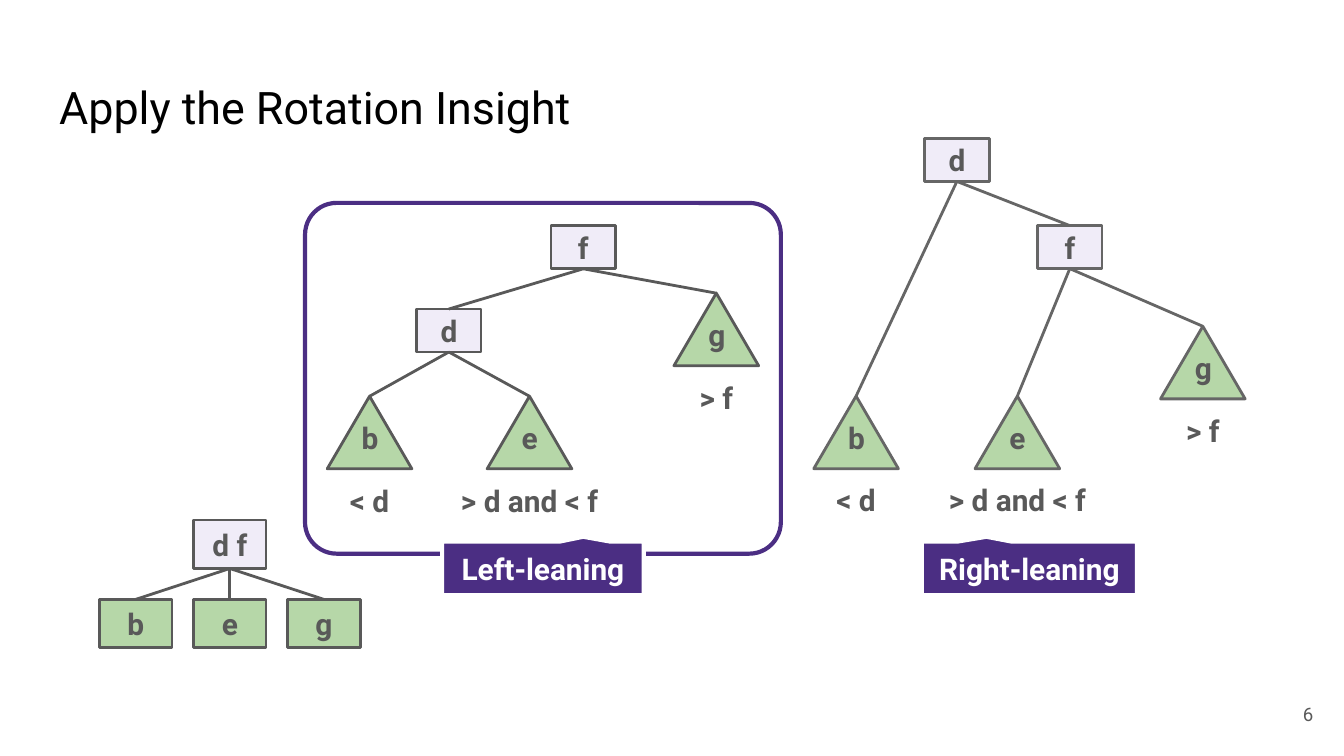
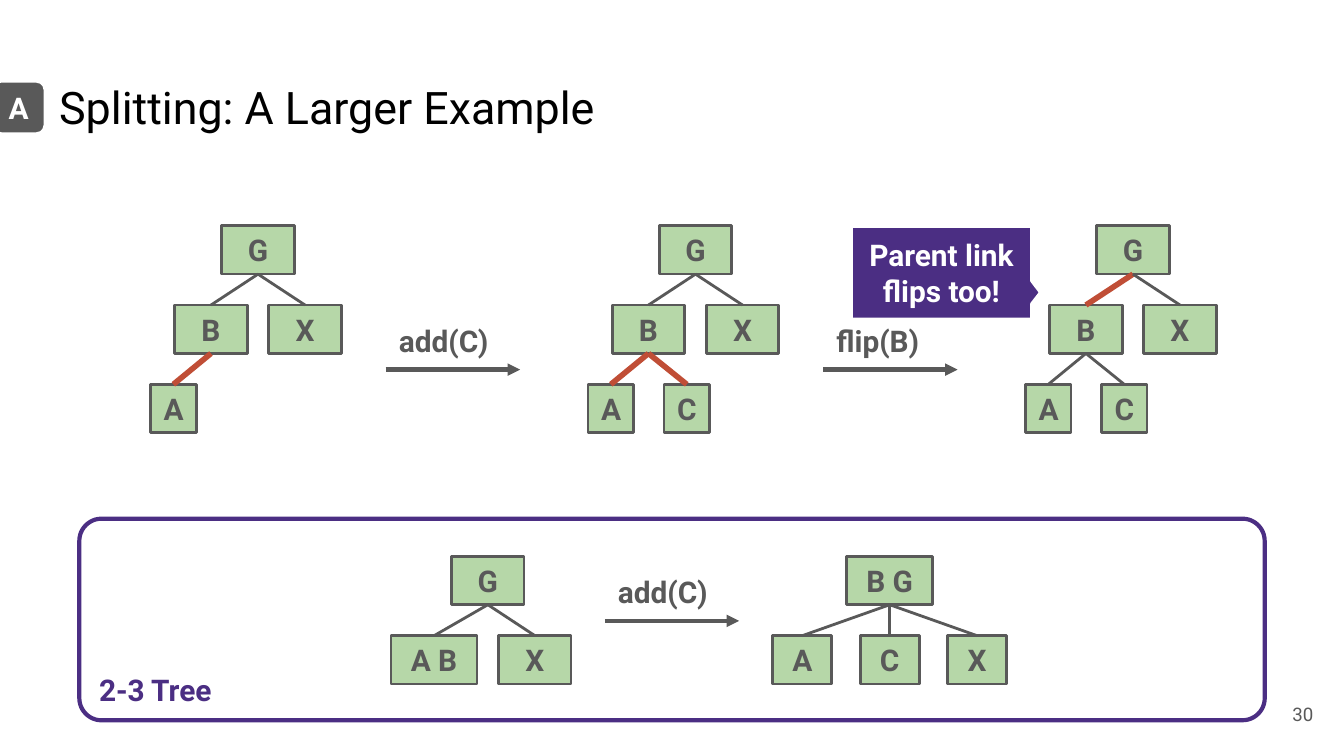
import pptx
import pptx.dml.color
import pptx.enum.shapes
import pptx.enum.text
import pptx.oxml
import pptx.oxml.ns
import pptx.util

SHAPE = pptx.enum.shapes.MSO_SHAPE
ALIGN = pptx.enum.text.PP_ALIGN
ANCHOR = pptx.enum.text.MSO_ANCHOR
inches = pptx.util.Inches

WIDTH = 10
HEIGHT = WIDTH * 9 / 16
COL, ROW = 0.05, 0.59
FONT = "Roboto"
COLORS = {
    "title": "000000", "ink": "595959", "soft ink": "666666", "white": "FFFFFF",
    "purple": "4B2E83", "lavender": "F0ECF8", "green": "B6D7A8", "red": "C04E36",
}

# kind of node: preset, fill, width, height
KINDS = {
    "inner": (SHAPE.RECTANGLE, "lavender", 0.48, 0.32),
    "subtree": (SHAPE.ISOSCELES_TRIANGLE, "green", 0.63, 0.54),
    "root": (SHAPE.RECTANGLE, "lavender", 0.54, 0.36),
    "key": (SHAPE.RECTANGLE, "green", 0.54, 0.36),
    "pair": (SHAPE.RECTANGLE, "green", 0.64, 0.36),
    "third": (SHAPE.RECTANGLE, "green", 0.44, 0.36),
    "small": (SHAPE.RECTANGLE, "green", 0.34, 0.36),
}

# node: (kind, parent, columns right of the root, rows below the root)
LEFT_LEANING = {
    "f": ("inner", None, 0, 0),
    "d": ("inner", "f", -20, 1.05),
    "b": ("subtree", "d", -31.8, 2.15),
    "e": ("subtree", "d", -8, 2.15),
    "g": ("subtree", "f", 19.8, 0.85),
}
RIGHT_LEANING = {
    "d": ("inner", None, 0, 0),
    "f": ("inner", "d", 16.8, 1.1),
    "b": ("subtree", "d", -15, 3.25),
    "e": ("subtree", "f", 9, 3.25),
    "g": ("subtree", "f", 36.6, 2.37),
}
RANGES = {"b": ("< d", 0.5), "e": ("> d and < f", 1.25), "g": ("> f", 0.5)}
THREE_NODE = {
    "d f": ("root", None, 0, 0),
    "b": ("key", "d f", -14, 1),
    "e": ("key", "d f", 0, 1),
    "g": ("key", "d f", 14, 1),
}
BEFORE_ADD = {
    "G": ("key", None, 0, 0),
    "B": ("key", "G", -7, 1),
    "X": ("key", "G", 7, 1),
    "A": ("small", "B", -12.6, 2),
}
AFTER_ADD = {**BEFORE_ADD, "C": ("small", "B", -1.3, 2)}
# tree and the children whose link to the parent is red
LARGER_STEPS = [(BEFORE_ADD, "A"), (AFTER_ADD, "AC"), (AFTER_ADD, "B")]
LARGER_CALLS = ["add(C)", "flip(B)"]
TWO_THREE_BEFORE = {
    "G": ("key", None, 0, 0),
    "A B": ("pair", "G", -8, 1),
    "X": ("key", "G", 7, 1),
}
TWO_THREE_AFTER = {
    "B G": ("pair", None, 0, 0),
    "A": ("third", "B G", -13, 1),
    "C": ("third", "B G", 0, 1),
    "X": ("third", "B G", 13, 1),
}


def rgb(name):
    return pptx.dml.color.RGBColor.from_string(COLORS[name])


def write(shape, text, size=16, color="ink", bold=True, align=ALIGN.CENTER,
          anchor=ANCHOR.MIDDLE, inset_y=0.1):
    frame = shape.text_frame
    frame.auto_size = pptx.enum.text.MSO_AUTO_SIZE.NONE
    frame.word_wrap = True
    frame.vertical_anchor = anchor
    frame.margin_left = frame.margin_right = inches(0.1)
    frame.margin_top = frame.margin_bottom = inches(inset_y)
    paragraph = frame.paragraphs[0]
    paragraph.alignment = align
    run = paragraph.add_run()
    run.text = text
    run.font.name, run.font.size, run.font.bold = FONT, pptx.util.Pt(size), bold
    run.font.color.rgb = rgb(color)


def add_text(shapes, box, text, **style):
    write(shapes.add_textbox(*map(inches, box)), text, **style)


def add_box(shapes, preset, box, line, fill=None, weight=2.25, adjust=(), text=None, **style):
    shape = shapes.add_shape(preset, *map(inches, box))
    shape.shadow.inherit = False
    for index, value in enumerate(adjust):
        shape.adjustments[index] = value
    if fill:
        shape.fill.solid()
        shape.fill.fore_color.rgb = rgb(fill)
    else:
        shape.fill.background()
    shape.line.color.rgb = rgb(line)
    shape.line.width = pptx.util.Pt(weight)
    if text:
        write(shape, text, **style)
    return shape


def add_line(shapes, ends, color="ink", weight=1.5, arrow=False):
    line = shapes.add_connector(pptx.enum.shapes.MSO_CONNECTOR.STRAIGHT, *ends)
    line.line.color.rgb = rgb(color)
    line.line.width = pptx.util.Pt(weight)
    if arrow:
        head = pptx.oxml.parse_xml(f'<a:tailEnd {pptx.oxml.ns.nsdecls("a")} type="triangle"/>')
        line.line._get_or_add_ln().append(head)
    line._element.spPr.append(
        pptx.oxml.parse_xml(f'<a:effectLst {pptx.oxml.ns.nsdecls("a")}/>'))
    return line


def add_tree(slide, nodes, root_x, root_y, ink="ink", red="", labels=None):
    """Draw a tree whose root has its top centre at root_x, root_y."""
    shapes = slide.shapes.add_group_shape().shapes
    drawn = {}
    for key, (kind, _, col, row) in nodes.items():
        preset, fill, width, height = KINDS[kind]
        x, y = root_x + col * COL, root_y + row * ROW
        anchor = ANCHOR.BOTTOM if kind == "subtree" else ANCHOR.MIDDLE
        drawn[key] = add_box(shapes, preset, (x - width / 2, y, width, height), ink,
                             fill, weight=1.5, text=key, anchor=anchor)
        if labels and key in labels:
            label, label_width = labels[key]
            add_text(shapes, (x - label_width / 2, y + height, label_width, 0.45),
                     label, anchor=ANCHOR.TOP)
    for key, (_, parent, _, _) in nodes.items():
        if parent:
            top, child = drawn[parent], drawn[key]
            look = ("red", 3) if key in red else (ink, 1.5)
            link = add_line(shapes, (top.left, top.top, child.left, child.top), *look)
            link.begin_connect(top, 2)
            link.end_connect(child, 0)


def add_call(slide, text, x, y):
    """Draw an arrow to the right with a method call above it."""
    shapes = slide.shapes.add_group_shape().shapes
    add_line(shapes, map(inches, (x, y, x + 1, y)), weight=2.25, arrow=True)
    add_text(shapes, (x, y - 0.45, 1, 0.45), text, align=ALIGN.LEFT, anchor=ANCHOR.TOP)


def add_callout(slide, text, box, pointer):
    add_box(slide.shapes, SHAPE.ROUNDED_RECTANGULAR_CALLOUT, box, "white", "purple",
            adjust=(*pointer, 0), text=text, color="white")


def add_frame(slide, box, corner, **text):
    add_box(slide.shapes, SHAPE.ROUNDED_RECTANGLE, box, "purple", adjust=(corner,), **text)


def add_slide(deck, title, number):
    slide = deck.slides.add_slide(deck.slide_layouts[5])
    heading = slide.shapes.title
    heading.left, heading.top, heading.width, heading.height = map(
        inches, (0.34, 0.49, WIDTH - 2 * 0.34, 0.63))
    write(heading, title, size=24, color="title", bold=False, align=ALIGN.LEFT,
          anchor=ANCHOR.TOP)
    add_text(slide.shapes, (9.27, 5.1, 0.6, 0.43), number, size=10, bold=False,
             align=ALIGN.RIGHT)
    return slide


def build_rotation(deck):
    slide = add_slide(deck, "Apply the Rotation Insight", "6")
    add_frame(slide, (2.27, 1.51, 3.54, 2.61), 0.09)
    add_tree(slide, LEFT_LEANING, 4.34, 1.68, labels=RANGES)
    add_tree(slide, RIGHT_LEANING, 7.12, 1.03, ink="soft ink", labels=RANGES)
    add_callout(slide, "Left-leaning", (3.29, 4.03, 1.5, 0.4), (0.2, -0.59))
    add_callout(slide, "Right-leaning", (6.86, 4.03, 1.6, 0.4), (-0.2, -0.59))
    add_tree(slide, THREE_NODE, 1.71, 3.87)


def build_splitting(deck):
    slide = add_slide(deck, "Splitting: A Larger Example", "30")
    add_box(slide.shapes, SHAPE.ROUNDED_RECTANGLE, (-0.06, 0.6, 0.4, 0.4), "white", "ink",
            adjust=(0.17,), text="A", color="white")
    add_frame(slide, (0.59, 3.86, WIDTH - 2 * 0.59, 1.5), 0.11, text="2-3 Tree",
              color="purple", align=ALIGN.LEFT, anchor=ANCHOR.BOTTOM, inset_y=0.05)
    first, last = 1.92, 8.43
    step = (last - first) / (len(LARGER_STEPS) - 1)
    for index, (tree, red) in enumerate(LARGER_STEPS):
        add_tree(slide, tree, first + index * step, 1.68, red=red)
    for index, call in enumerate(LARGER_CALLS):
        add_call(slide, call, 2.87 + index * step, 2.75)
    add_tree(slide, TWO_THREE_BEFORE, 3.63, 4.14)
    add_call(slide, "add(C)", 4.5, 4.62)
    add_tree(slide, TWO_THREE_AFTER, 6.62, 4.14)
    add_callout(slide, "Parent link flips too!", (6.33, 1.68, 1.35, 0.7), (0.55, 0.21))


def main():
    deck = pptx.Presentation()
    deck.slide_width, deck.slide_height = inches(WIDTH), inches(HEIGHT)
    build_rotation(deck)
    build_splitting(deck)
    deck.save("out.pptx")


if __name__ == "__main__":
    main()
